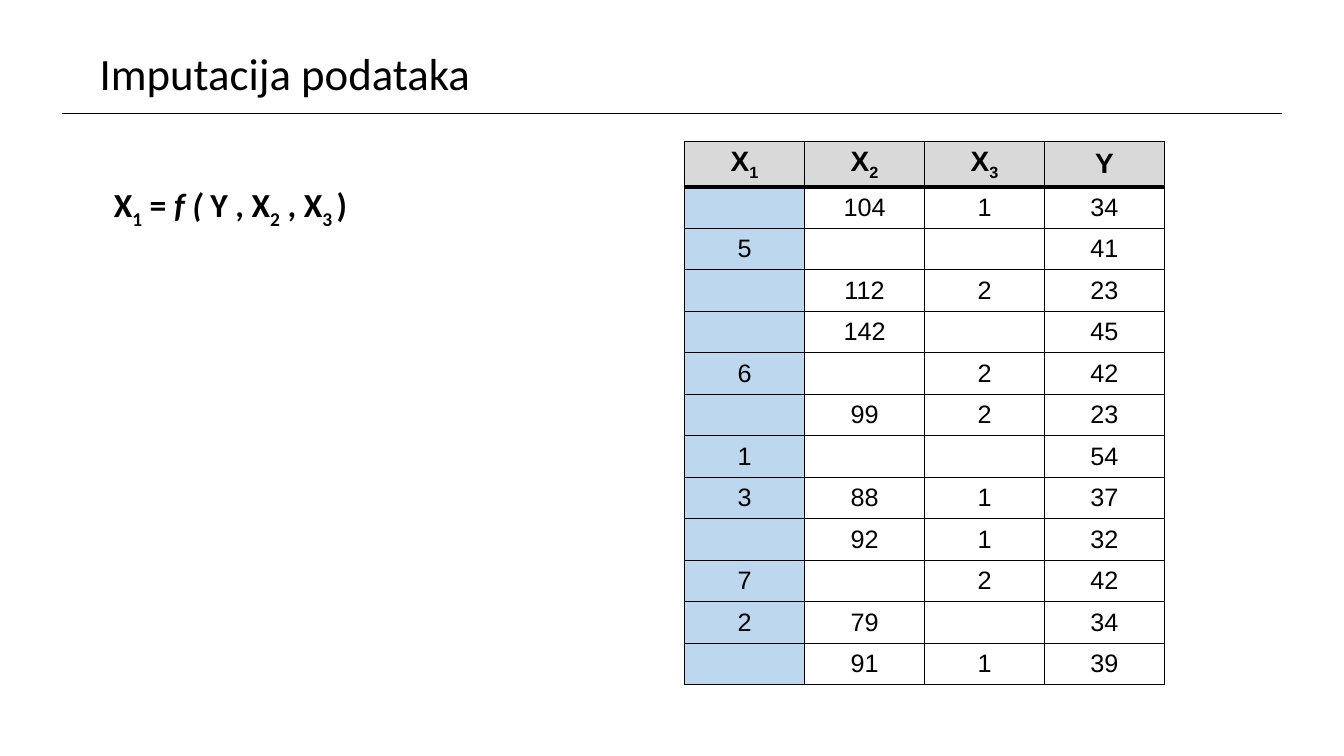
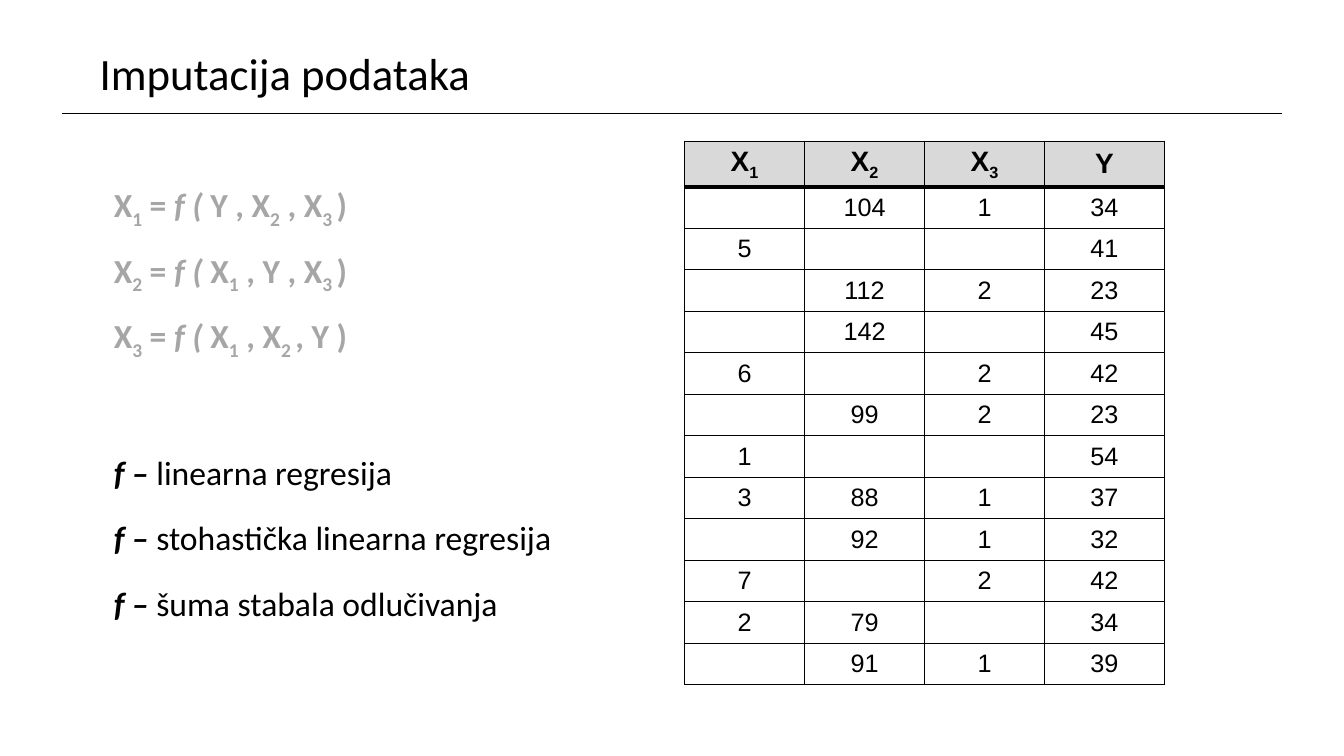
from dataclasses import dataclass

from lxml.etree import SubElement
from pptx import Presentation
from pptx.dml.color import RGBColor as RGB
from pptx.enum.shapes import MSO_CONNECTOR as CONN
from pptx.enum.text import MSO_ANCHOR as ANCHOR, MSO_AUTO_SIZE as AUTO, PP_ALIGN as ALIGN
from pptx.oxml.ns import qn
from pptx.util import Inches, Pt


@dataclass(frozen=True)
class Theme:
    black: str = "000000"
    muted: str = "A6A6A6"
    header: str = "D9D9D9"
    highlight: str = "BDD7EE"
    body_font: str = "Calibri"
    table_font: str = "Arial"
    title_size: int = 32
    text_size: int = 24
    header_size: int = 20
    cell_size: int = 18
    rule: float = 0.5
    grid: int = 1
    heavy: int = 3


T = Theme()

# Content: a run is (text, style), where style is made of the words below
STYLES = {"bold": {"bold": True}, "italic": {"bold": True, "italic": True}, "sub": {"bold": True}, "plain": {}}

HEADER = [("X", "1"), ("X", "2"), ("X", "3"), ("Y", "")]
ROWS = [
    ("", 104, 1, 34),
    (5, "", "", 41),
    ("", 112, 2, 23),
    ("", 142, "", 45),
    (6, "", 2, 42),
    ("", 99, 2, 23),
    (1, "", "", 54),
    (3, 88, 1, 37),
    ("", 92, 1, 32),
    (7, "", 2, 42),
    (2, 79, "", 34),
    ("", 91, 1, 39),
]
FORMULAS = [
    ("1", [("Y , X", "bold"), ("2", "sub"), (" , X", "bold"), ("3 ", "sub"), (")", "bold")]),
    ("2", [("X", "bold"), ("1", "sub"), (" , Y , X", "bold"), ("3 ", "sub"), (")", "bold")]),
    ("3", [("X", "bold"), ("1", "sub"), (" , X", "bold"), ("2 ", "sub"), (", Y )", "bold")]),
]
METHODS = ["linearna regresija", "stohastička linearna regresija", "šuma stabala odlučivanja"]


# Text
def add_runs(p, runs, size, font, color=T.black):
    for text, style in runs:
        r = p.add_run()
        r.text = text
        look = {"size": Pt(size), "name": font, "bold": False, "italic": False, **STYLES[style]}
        for name, value in look.items():
            setattr(r.font, name, value)
        r.font.color.rgb = RGB.from_string(color)
        if style == "sub":
            r._r.get_or_add_rPr().set("baseline", "-25000")


def add_text(s, box, runs, size=T.text_size, color=T.black):
    tf = s.shapes.add_textbox(*map(Inches, box)).text_frame
    tf.word_wrap = True
    tf.auto_size = AUTO.SHAPE_TO_FIT_TEXT
    add_runs(tf.paragraphs[0], runs, size, T.body_font, color)


def add_lines(s, top, lines, color=T.black):
    for i, runs in enumerate(lines):
        add_text(s, (1.03, top + 0.65 * i, 5.41, 0.5), runs, color=color)


def formula(index, arguments):
    return [("X", "bold"), (index, "sub"), (" = ", "bold"), ("f ( ", "italic"), *arguments]


# Table
def style_cell(cell, fill, top, bottom):
    tcPr = cell._tc.get_or_add_tcPr()
    widths = {"a:lnL": T.grid, "a:lnR": T.grid, "a:lnT": top, "a:lnB": bottom}
    for tag, width in widths.items():
        ln = SubElement(tcPr, qn(tag), w=str(Pt(width)))
        SubElement(SubElement(ln, qn("a:solidFill")), qn("a:srgbClr"), val=T.black)
    cell.vertical_anchor = ANCHOR.MIDDLE
    if fill:
        cell.fill.solid()
        cell.fill.fore_color.rgb = RGB.from_string(fill)
    else:
        cell.fill.background()


def add_data_table(s, highlighted=None):
    width, height, header_height = 4.76, 5.39, 0.45
    frame = s.shapes.add_table(len(ROWS) + 1, len(HEADER), *map(Inches, (6.79, 1.4, width, height)))
    table = frame.table
    table.first_row = table.horz_banding = False
    for column in table.columns:
        column.width = Inches(width / len(HEADER))
    for i, row in enumerate(table.rows):
        row.height = Inches((height - header_height) / len(ROWS) if i else header_height)
        for j, cell in enumerate(row.cells):
            p = cell.text_frame.paragraphs[0]
            p.alignment = ALIGN.CENTER
            if i == 0:
                name, index = HEADER[j]
                runs = [(name, "bold")] + ([(index, "sub")] if index else [])
                add_runs(p, runs, T.header_size, T.table_font)
                style_cell(cell, T.header, T.grid, T.heavy)
                continue
            value = ROWS[i - 1][j]
            if value != "":
                add_runs(p, [(str(value), "plain")], T.cell_size, T.table_font)
            fill = T.highlight if j == highlighted else None
            style_cell(cell, fill, T.heavy if i == 1 else T.grid, T.grid)


# Shared slide frame: table, rule and title
def add_slide(prs, highlighted=None):
    s = prs.slides.add_slide(prs.slide_layouts[6])
    add_data_table(s, highlighted)
    rule = s.shapes.add_connector(CONN.STRAIGHT, *map(Inches, (0.62, 1.12, 12.72, 1.12)))
    rule.line.color.rgb = RGB.from_string(T.black)
    rule.line.width = Pt(T.rule)
    SubElement(rule._element.spPr, qn("a:effectLst"))
    add_text(s, (0.89, 0.4, 8.96, 0.64), [("Imputacija podataka", "plain")], T.title_size)
    return s


def main():
    prs = Presentation()
    prs.slide_width, prs.slide_height = Inches(13.33), Inches(7.5)
    formulas = [formula(*parts) for parts in FORMULAS]

    # First variable
    s = add_slide(prs, highlighted=0)
    add_lines(s, 1.78, formulas[:1])

    # All variables and the choices of f
    s = add_slide(prs)
    add_lines(s, 1.78, formulas, T.muted)
    add_lines(s, 4.43, [[("f – ", "italic"), (method, "plain")] for method in METHODS])

    prs.save("out.pptx")


main()
